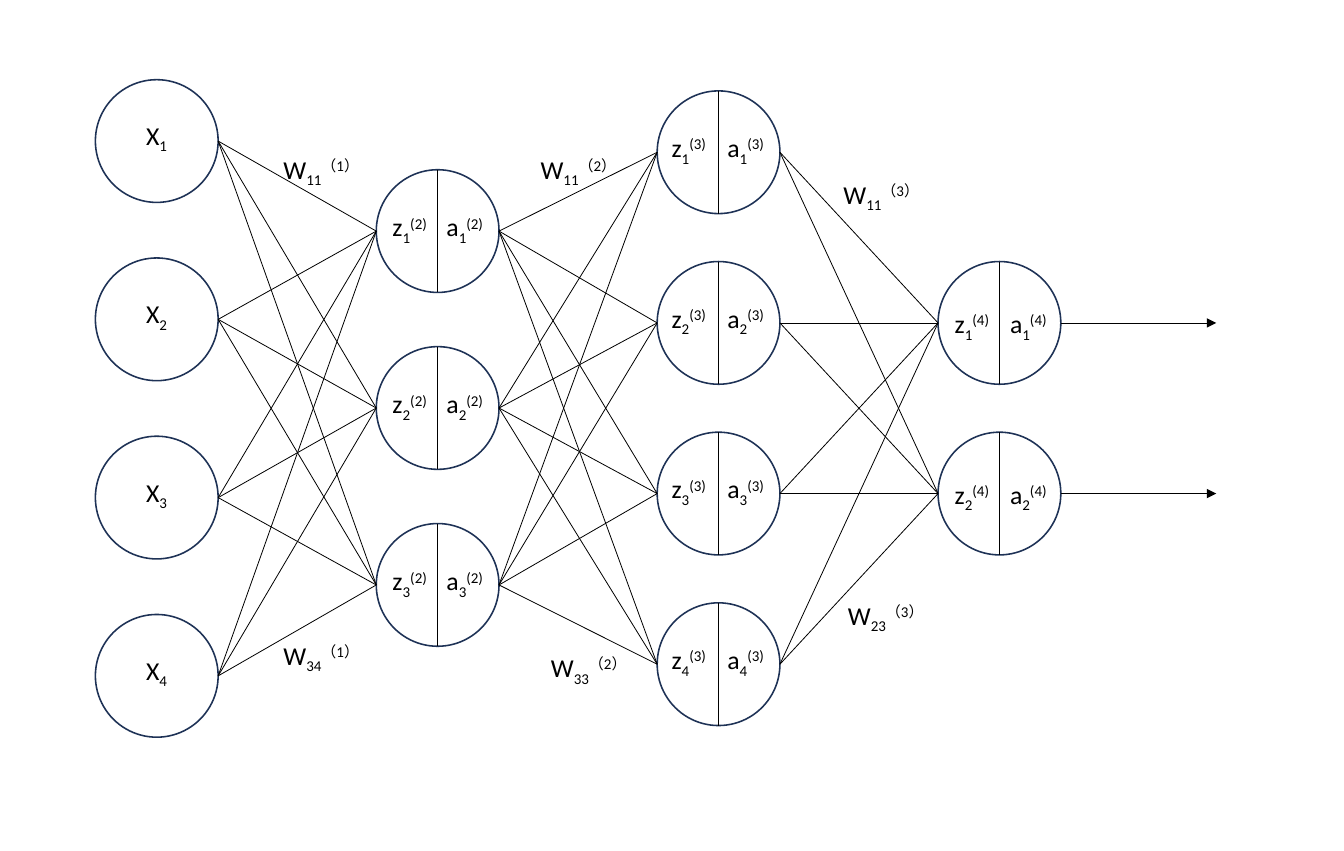
import pptx
import pptx.util
import pptx.dml.color
import pptx.enum.shapes
import pptx.enum.text
import pptx.oxml.ns
import lxml.etree

Cm = pptx.util.Cm
Pt = pptx.util.Pt
NAVY = pptx.dml.color.RGBColor(0x1E, 0x32, 0x56)
BLACK = pptx.dml.color.RGBColor(0, 0, 0)

SIZE = 2.74
LEFT = 2.13
PITCH = 6.27
TIP = 27.15
HALF = 1.35
HIGH = 0.89

# count, top, step, label drop, ((letter, label shift), ...)
LAYERS = [
    (4, 1.78, 3.98, 0.77, (("X", 0.69),)),
    (3, 3.79, 3.95, 0.8, (("z", 0.07), ("a", 1.3))),
    (4, 2.03, 3.81, 0.79, (("z", 0.03), ("a", 1.3))),
    (2, 5.84, 3.81, 0.91, (("z", 0.08), ("a", 1.34))),
]

WEIGHTS = [
    (5.99, 3.3, "11", 1),
    (5.99, 14.15, "34", 1),
    (11.73, 3.3, "11", 2),
    (11.96, 14.43, "33", 2),
    (18.49, 3.86, "11", 3),
    (18.59, 13.26, "23", 3),
]


def add_line(slide, x1, y1, x2, y2, arrow=False):
    line = slide.shapes.add_connector(
        pptx.enum.shapes.MSO_CONNECTOR.STRAIGHT, Cm(x1), Cm(y1), Cm(x2), Cm(y2))
    line.line.color.rgb = BLACK
    line.line.width = Pt(0.5)
    qn = pptx.oxml.ns.qn
    if arrow:
        lxml.etree.SubElement(line.line._get_or_add_ln(), qn("a:tailEnd"), type="triangle")
    lxml.etree.SubElement(line._element.spPr, qn("a:effectLst"))


def add_ring(slide, x, y):
    ring = slide.shapes.add_shape(
        pptx.enum.shapes.MSO_SHAPE.OVAL, Cm(x), Cm(y), Cm(SIZE), Cm(SIZE))
    ring.shadow.inherit = False
    ring.fill.background()
    ring.line.color.rgb = NAVY
    ring.line.width = Pt(1)


def add_label(slide, x, y, width, inset, base, sub, sup=""):
    frame = slide.shapes.add_textbox(Cm(x), Cm(y), Cm(width), Cm(HIGH)).text_frame
    frame.word_wrap = True
    frame.auto_size = pptx.enum.text.MSO_AUTO_SIZE.SHAPE_TO_FIT_TEXT
    frame.margin_left = frame.margin_right = Cm(inset)
    para = frame.paragraphs[0]
    para.alignment = pptx.enum.text.PP_ALIGN.CENTER
    for text, shift in ((base, 0), (sub, -25000), (sup, 30000)):
        if not text:
            continue
        run = para.add_run()
        run.text = text
        run.font.name = "Calibri"
        run.font.size = Pt(16.3)
        run.font.color.rgb = BLACK
        if shift:
            run._r.get_or_add_rPr().set("baseline", str(shift))


def get_mids(layer):
    count, top, step = layer[:3]
    return [top + SIZE / 2 + row * step for row in range(count)]


def add_layer(slide, index, layer):
    x = LEFT + index * PITCH
    drop, parts = layer[3:]
    split = len(parts) > 1
    for row, mid in enumerate(get_mids(layer), 1):
        top = mid - SIZE / 2
        add_ring(slide, x, top)
        if split:
            add_line(slide, x + SIZE / 2, top, x + SIZE / 2, top + SIZE)
        for letter, shift in parts:
            add_label(slide, x + shift, top + drop, HALF, 0, letter, str(row),
                      f"({index + 1})" if split else "")


def add_links(slide, index):
    start = LEFT + index * PITCH + SIZE
    end = LEFT + (index + 1) * PITCH
    for y1 in get_mids(LAYERS[index]):
        for y2 in get_mids(LAYERS[index + 1]):
            add_line(slide, start, y1, end, y2)


def main():
    deck = pptx.Presentation()
    deck.slide_width, deck.slide_height = Cm(30), Cm(19)
    slide = deck.slides.add_slide(deck.slide_layouts[6])
    for index, layer in enumerate(LAYERS):
        add_layer(slide, index, layer)
    for index in range(len(LAYERS) - 1):
        add_links(slide, index)
    for x, y, pair, layer in WEIGHTS:
        add_label(slide, x, y, 2.36, 0.3, "W", pair, f"（{layer}）")
    edge = LEFT + 3 * PITCH + SIZE
    for mid in get_mids(LAYERS[-1]):
        add_line(slide, edge, mid, TIP, mid, arrow=True)
    deck.save("out.pptx")


if __name__ == "__main__":
    main()
